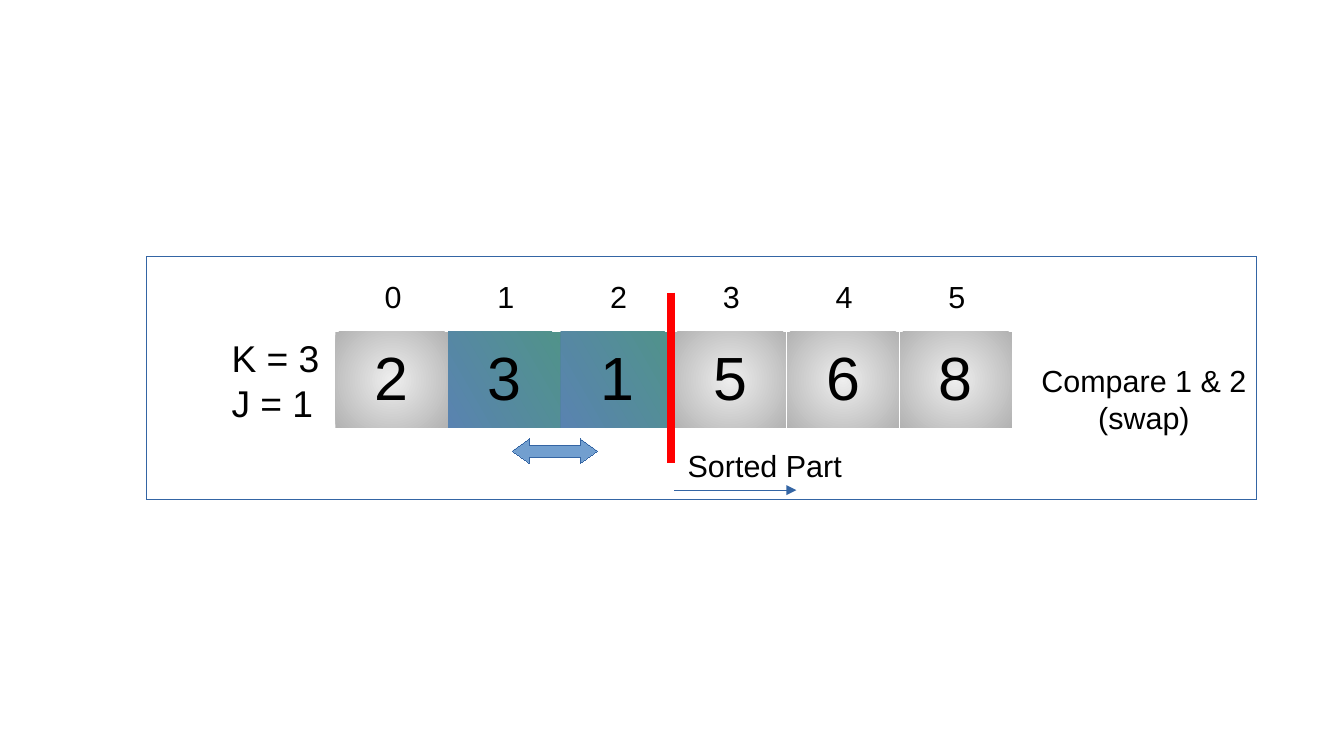
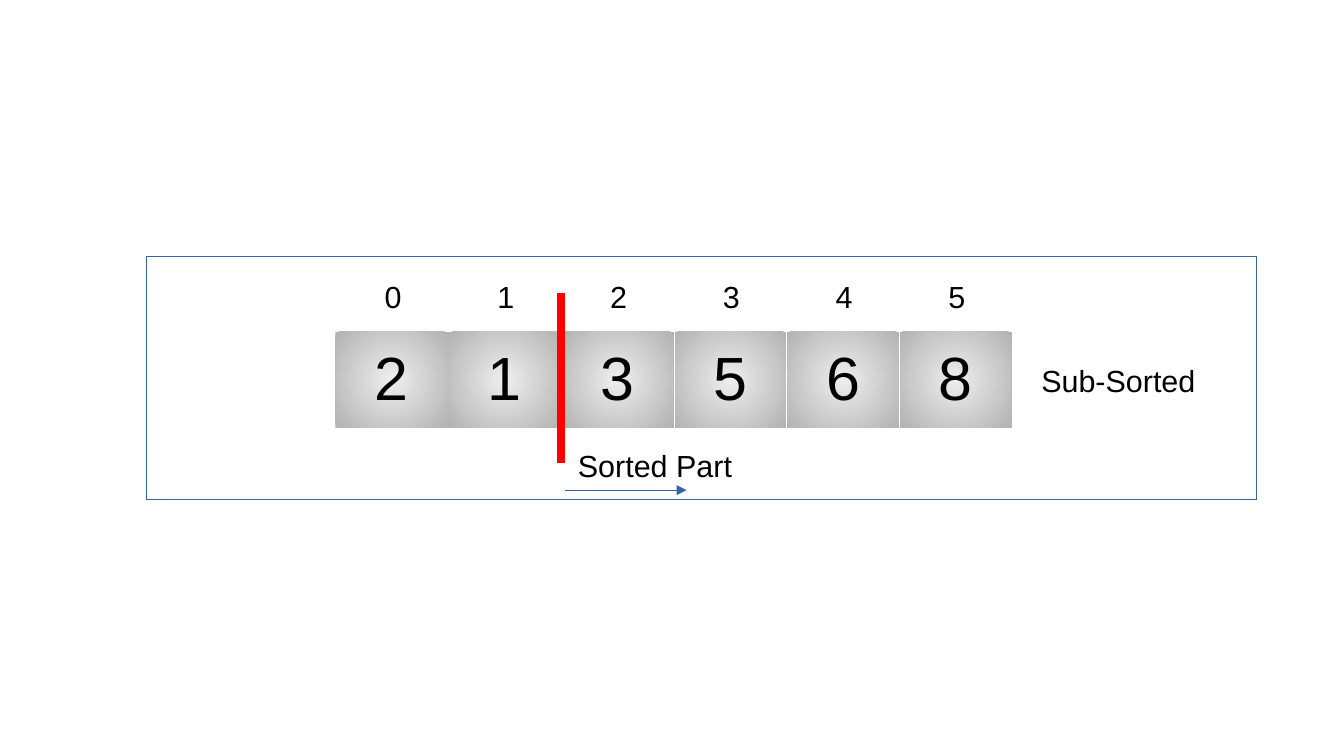
from lxml import etree
from pptx import Presentation
from pptx.dml.color import RGBColor
from pptx.enum.shapes import MSO_CONNECTOR, MSO_SHAPE
from pptx.enum.text import MSO_ANCHOR, MSO_AUTO_SIZE, PP_ALIGN
from pptx.oxml import parse_xml
from pptx.oxml.ns import nsdecls, qn
from pptx.util import Inches, Pt

WHITE = RGBColor(0xFF, 0xFF, 0xFF)
BLACK = RGBColor(0x00, 0x00, 0x00)
RED = RGBColor(0xFF, 0x00, 0x00)
BLUE = RGBColor(0x34, 0x65, 0xA4)
LIGHT_BLUE = RGBColor(0x72, 0x9F, 0xCF)
GRAY_LIGHT = RGBColor(0xEE, 0xEE, 0xEE)
GRAY_DARK = RGBColor(0xB2, 0xB2, 0xB2)
TEAL = RGBColor(0x50, 0x93, 0x8A)
STEEL = RGBColor(0x59, 0x83, 0xB0)
FONT = "Arial"
NO_STYLE = "{2D5ABB26-0587-4C30-8999-92F81FD0307C}"
RADIAL = '<a:path path="circle"><a:fillToRect l="50000" t="50000" r="50000" b="50000"/></a:path>'
SLANTED = '<a:lin ang="9000000" scaled="0"/>'
HAIRLINE = 0.01
CELL_WIDTH = 0.925
ROW_HEIGHT = 0.79


def write_text(tf, text, size=18, align=PP_ALIGN.LEFT):
    for i, line in enumerate(text.split("\n")):
        p = tf.paragraphs[0] if i == 0 else tf.add_paragraph()
        p.alignment = align
        r = p.add_run()
        r.text = line
        r.font.size = Pt(size)
        r.font.name = FONT
        r.font.color.rgb = BLACK


def add_label(s, text, x, y, w, h, **text_format):
    tf = s.shapes.add_textbox(Inches(x), Inches(y), Inches(w), Inches(h)).text_frame
    tf.word_wrap = False
    tf.auto_size = MSO_AUTO_SIZE.SHAPE_TO_FIT_TEXT
    write_text(tf, text, **text_format)


def add_block(s, kind, x, y, w, h, fill):
    sp = s.shapes.add_shape(kind, Inches(x), Inches(y), Inches(w), Inches(h))
    sp.shadow.inherit = False
    sp.fill.solid()
    sp.fill.fore_color.rgb = fill
    sp.line.color.rgb = BLUE
    sp.line.width = Pt(HAIRLINE)
    return sp


def add_line(s, x1, y1, x2, y2, color, width, arrow=False):
    line = s.shapes.add_connector(
        MSO_CONNECTOR.STRAIGHT, Inches(x1), Inches(y1), Inches(x2), Inches(y2))
    line.line.color.rgb = color
    line.line.width = Pt(width)
    sp_pr = line.element.spPr
    if arrow:
        etree.SubElement(sp_pr.find(qn("a:ln")), qn("a:tailEnd"), type="triangle")
    etree.SubElement(sp_pr, qn("a:effectLst"))


def add_row(s, values, x, y, size, anchor):
    frame = s.shapes.add_table(
        1, len(values), Inches(x), Inches(y),
        Inches(CELL_WIDTH * len(values)), Inches(ROW_HEIGHT))
    for style in frame.element.iter(qn("a:tableStyleId")):
        style.text = NO_STYLE
    table = frame.table
    table.first_row = table.horz_banding = False
    cells = list(table.rows[0].cells)
    for cell, value in zip(cells, values):
        cell.vertical_anchor = anchor
        cell.fill.background()
        write_text(cell.text_frame, str(value), size=size, align=PP_ALIGN.CENTER)
    return cells


def set_gradient(cell, start, end, direction):
    tc_pr = cell._tc.get_or_add_tcPr()
    tc_pr.remove(tc_pr.find(qn("a:noFill")))
    tc_pr.append(parse_xml(
        f'<a:gradFill {nsdecls("a")} rotWithShape="1"><a:gsLst>'
        f'<a:gs pos="0"><a:srgbClr val="{start}"/></a:gs>'
        f'<a:gs pos="100000"><a:srgbClr val="{end}"/></a:gs>'
        f'</a:gsLst>{direction}</a:gradFill>'))


def set_right_border(cell):
    cell._tc.get_or_add_tcPr().insert(0, parse_xml(
        f'<a:lnR {nsdecls("a")} w="762"><a:solidFill>'
        f'<a:srgbClr val="{WHITE}"/></a:solidFill></a:lnR>'))


def add_array(s, values, compared):
    for i, cell in enumerate(add_row(s, values, 2.75, 2.72, 36, MSO_ANCHOR.MIDDLE)):
        if i in compared:
            set_gradient(cell, TEAL, STEEL, SLANTED)
        else:
            set_gradient(cell, GRAY_LIGHT, GRAY_DARK, RADIAL)
        if i >= 2:
            set_right_border(cell)
    add_row(s, range(len(values)), 2.76, 1.84, 18, MSO_ANCHOR.BOTTOM)


def add_sorted_part(s, x):
    add_line(s, x, 2.4, x, 3.8, RED, 4.5)
    add_line(s, x + 0.03, 4.02, x + 1.03, 4.02, BLUE, HAIRLINE, arrow=True)
    add_label(s, "Sorted Part", x + 0.04, 3.62, 1.52, 0.38)


def add_step(prs, values, divider, compared=()):
    s = prs.slides.add_slide(prs.slide_layouts[6])
    add_block(s, MSO_SHAPE.RECTANGLE, 1.2, 2.1, 9.1, 2, WHITE)
    add_array(s, values, compared)
    add_sorted_part(s, divider)
    return s


def main():
    prs = Presentation()
    prs.slide_width, prs.slide_height = Inches(11.02), Inches(6.2)

    s = add_step(prs, [2, 3, 1, 5, 6, 8], 5.5, compared=(1, 2))
    add_label(s, "K = 3\nJ = 1", 1.8, 2.7, 0.92, 0.78, size=22)
    add_label(s, "Compare 1 & 2\n(swap)", 8.43, 2.92, 1.9, 0.66, align=PP_ALIGN.CENTER)
    swap = add_block(s, MSO_SHAPE.LEFT_RIGHT_ARROW, 4.2, 3.6, 0.7, 0.2, LIGHT_BLUE)
    swap.adjustments[0] = 0.5
    swap.adjustments[1] = 0.7

    s = add_step(prs, [2, 1, 3, 5, 6, 8], 4.6)
    add_label(s, "Sub-Sorted", 8.41, 2.92, 1.52, 0.38, align=PP_ALIGN.CENTER)

    prs.save("out.pptx")


if __name__ == "__main__":
    main()
